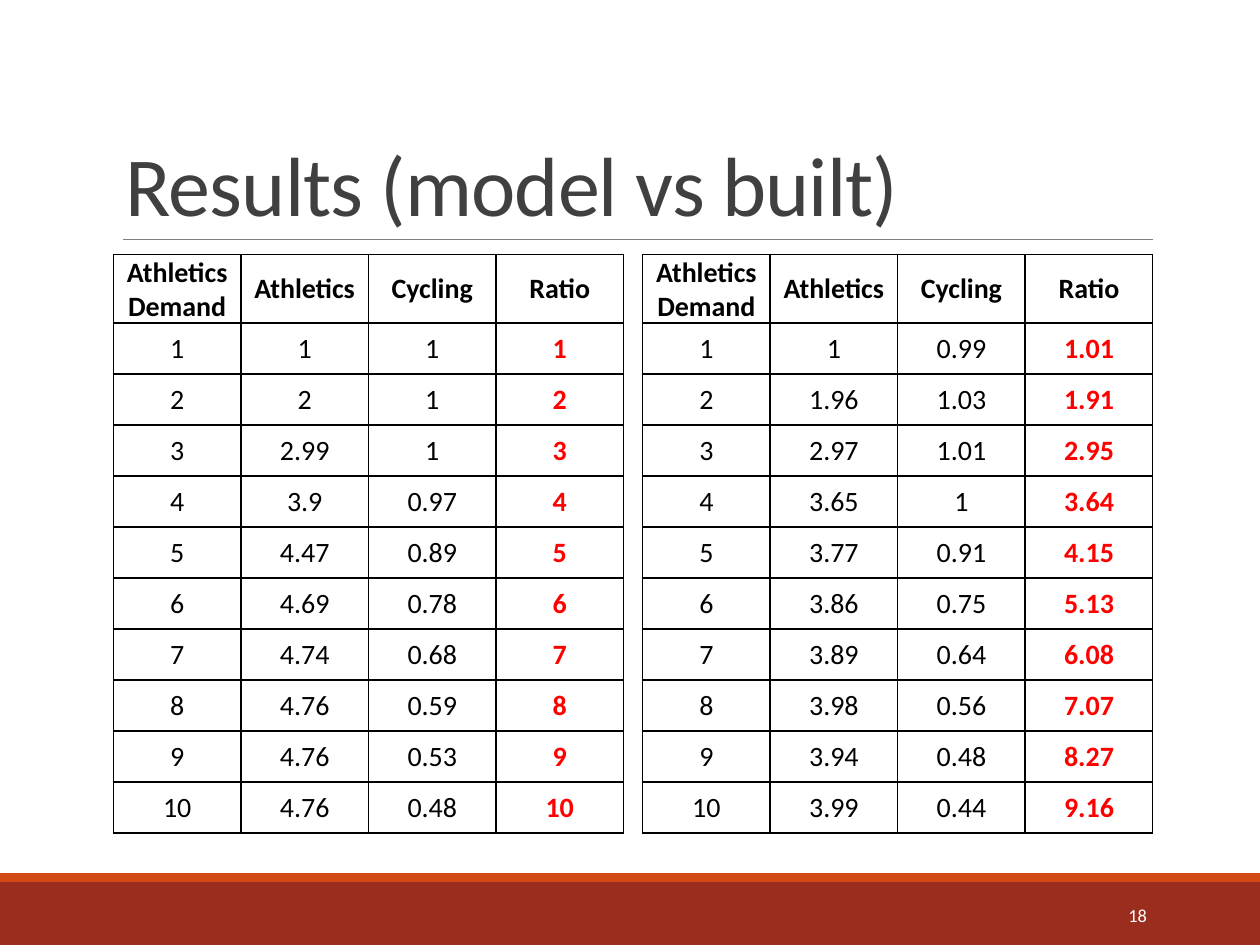
import pptx
import pptx.dml.color
import pptx.enum.shapes
import pptx.enum.text
import pptx.oxml
import pptx.oxml.ns
import pptx.util

Inches = pptx.util.Inches
Pt = pptx.util.Pt
ALIGN = pptx.enum.text.PP_ALIGN
ANCHOR = pptx.enum.text.MSO_ANCHOR

COLORS = {
    "band": "9B2D1F",
    "stripe": "D34817",
    "rule": "808080",
    "title": "404040",
    "text": "000000",
    "ratio": "FF0000",
    "page": "FFFFFF",
}

HEADINGS = ["Athletics Demand", "Athletics", "Cycling", "Ratio"]
MODEL = [
    (1, 1, 1, 1), (2, 2, 1, 2), (3, 2.99, 1, 3), (4, 3.9, 0.97, 4),
    (5, 4.47, 0.89, 5), (6, 4.69, 0.78, 6), (7, 4.74, 0.68, 7),
    (8, 4.76, 0.59, 8), (9, 4.76, 0.53, 9), (10, 4.76, 0.48, 10),
]
BUILT = [
    (1, 1, 0.99, 1.01), (2, 1.96, 1.03, 1.91), (3, 2.97, 1.01, 2.95),
    (4, 3.65, 1, 3.64), (5, 3.77, 0.91, 4.15), (6, 3.86, 0.75, 5.13),
    (7, 3.89, 0.64, 6.08), (8, 3.98, 0.56, 7.07), (9, 3.94, 0.48, 8.27),
    (10, 3.99, 0.44, 9.16),
]


def rgb(name):
    return pptx.dml.color.RGBColor.from_string(COLORS[name])


def set_all(target, values):
    for name, value in values.items():
        setattr(target, name, value)


class ResultsSlide:
    """Holds the style and the current slide."""

    font_name = "Calibri"

    def __init__(self, deck):
        self.slide = deck.slides.add_slide(deck.slide_layouts[6])

    def styled_run(self, paragraph, text, size, color, bold=False):
        run = paragraph.add_run()
        run.text = text
        set_all(run.font, {"name": self.font_name, "size": Pt(size), "bold": bold})
        run.font.color.rgb = rgb(color)
        return run

    def bar(self, top, height, color):
        bar = self.slide.shapes.add_shape(
            pptx.enum.shapes.MSO_SHAPE.RECTANGLE,
            0, Inches(top), Inches(10), Inches(height))
        bar.shadow.inherit = False
        bar.fill.solid()
        bar.fill.fore_color.rgb = rgb(color)
        bar.line.fill.background()

    def rule(self, left, right, y):
        rule = self.slide.shapes.add_connector(
            pptx.enum.shapes.MSO_CONNECTOR.STRAIGHT,
            Inches(left), Inches(y), Inches(right), Inches(y))
        rule.line.color.rgb = rgb("rule")
        rule.line.width = Pt(0.5)
        properties = rule._element.spPr
        properties.append(properties.makeelement(pptx.oxml.ns.qn("a:effectLst"), {}))

    def text(self, box, text, size, color, anchor, paragraph_format, spacing=0):
        frame = self.slide.shapes.add_textbox(*map(Inches, box)).text_frame
        set_all(frame, {"word_wrap": True, "vertical_anchor": anchor})
        paragraph = frame.paragraphs[0]
        set_all(paragraph, paragraph_format)
        run = self.styled_run(paragraph, text, size, color)
        if spacing:
            run._r.get_or_add_rPr().set("spc", str(round(spacing * 100)))

    def border(self, cell):
        properties = cell._tc.get_or_add_tcPr()
        for position, side in enumerate(("lnL", "lnR", "lnT", "lnB")):
            properties.insert(position, pptx.oxml.parse_xml(
                f'<a:{side} {pptx.oxml.ns.nsdecls("a")} w="12700"><a:solidFill>'
                f'<a:srgbClr val="{COLORS["text"]}"/></a:solidFill></a:{side}>'))

    def table(self, left, top, width, height, row_height, records):
        rows = [HEADINGS] + records
        frame = self.slide.shapes.add_table(
            len(rows), len(HEADINGS),
            Inches(left), Inches(top), Inches(width), Inches(height))
        table = frame.table
        set_all(table, {"first_row": False, "horz_banding": False})
        for column in table.columns:
            column.width = Inches(width / len(HEADINGS))
        for row in table.rows:
            row.height = Inches(row_height)
        # The heading row grows to two lines and fills the full height
        frame.height = Inches(height)
        for r, values in enumerate(rows):
            for c, value in enumerate(values):
                cell = table.cell(r, c)
                set_all(cell, {
                    "margin_left": Inches(0.01), "margin_right": Inches(0.01),
                    "margin_top": Inches(0.01), "margin_bottom": 0,
                    "vertical_anchor": ANCHOR.MIDDLE,
                })
                cell.fill.background()
                self.border(cell)
                paragraph = cell.text_frame.paragraphs[0]
                paragraph.alignment = ALIGN.CENTER
                is_ratio = r > 0 and c == len(HEADINGS) - 1
                self.styled_run(paragraph, str(value), 16,
                                "ratio" if is_ratio else "text", r == 0 or is_ratio)


def main():
    deck = pptx.Presentation()
    set_all(deck, {"slide_width": Inches(10), "slide_height": Inches(7.5)})
    results = ResultsSlide(deck)

    # Footer bands and title rule
    results.bar(7, 0.5, "band")
    results.bar(6.93, 0.07, "stripe")
    results.rule(0.98, 9.15, 1.9)

    # Title and page number
    results.text((0.9, 0.31, 8.25, 1.59), "Results (model vs built)", 48, "title",
                 ANCHOR.BOTTOM, {"line_spacing": 0.85}, spacing=-0.5)
    results.text((8.12, 7.06, 1.08, 0.4), "18", 10.5, "page",
                 ANCHOR.MIDDLE, {"alignment": ALIGN.RIGHT})

    # Model results beside built results
    width, gap = 4.05, 0.15
    for index, records in enumerate((MODEL, BUILT)):
        results.table(0.9 + index * (width + gap), 2.02, width, 4.6,
                      4.05 / len(records), records)

    deck.save("out.pptx")


if __name__ == "__main__":
    main()
